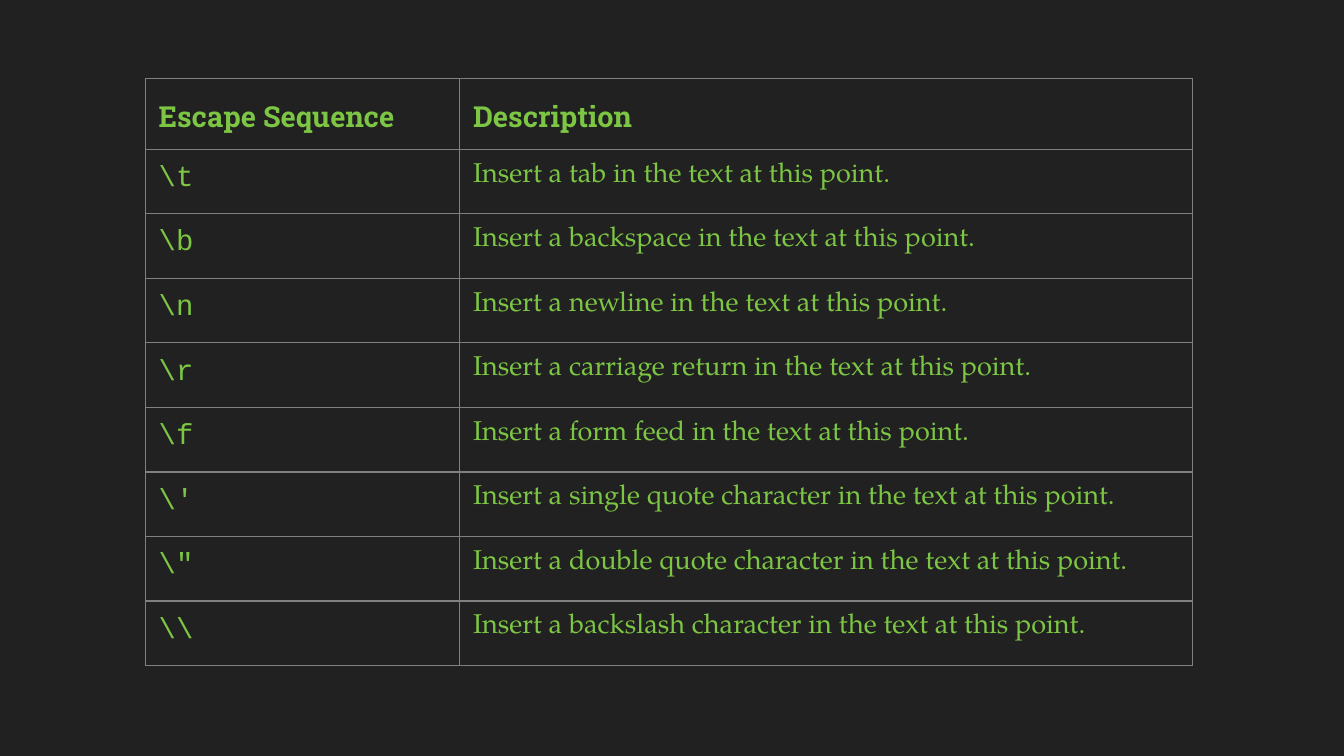
from dataclasses import dataclass

from lxml.etree import SubElement
from pptx import Presentation
from pptx.dml.color import RGBColor
from pptx.oxml.ns import qn
from pptx.table import _Cell as Cell
from pptx.util import Cm, Pt

BACKGROUND = RGBColor(0x21, 0x21, 0x21)
GREEN = RGBColor(0x7C, 0xC6, 0x44)
GREY = RGBColor(0x80, 0x80, 0x80)

COLUMN_WIDTHS = (Cm(5.94), Cm(13.85))
HEADER_HEIGHT = Cm(1.34)
ROW_HEIGHT = Cm(1.22)
CELL_MARGIN = Cm(0.25)
BORDER_WIDTH = Pt(0.75)


@dataclass(frozen=True)
class TextStyle:
    font: str
    size: float
    bold: bool = False
    line_spacing: float = 1.0


@dataclass(frozen=True)
class EscapeSequence:
    code: str
    description: str


HEADING = TextStyle("Roboto Slab", 15.5, bold=True, line_spacing=1.15)
CODE = TextStyle("Courier New", 15.5)
BODY = TextStyle("TeX Gyre Pagella", 14.5)

HEADER = EscapeSequence("Escape Sequence", "Description")
SEQUENCES = (
    EscapeSequence(r"\t", "Insert a tab in the text at this point."),
    EscapeSequence(r"\b", "Insert a backspace in the text at this point."),
    EscapeSequence(r"\n", "Insert a newline in the text at this point."),
    EscapeSequence(r"\r", "Insert a carriage return in the text at this point."),
    EscapeSequence(r"\f", "Insert a form feed in the text at this point."),
    EscapeSequence(r"\'", "Insert a single quote character in the text at this point."),
    EscapeSequence(r"\"", "Insert a double quote character in the text at this point."),
    EscapeSequence(r"\\", "Insert a backslash character in the text at this point."),
)


def write_text(cell: Cell, text: str, *, style: TextStyle, color: RGBColor = GREEN) -> None:
    paragraph = cell.text_frame.paragraphs[0]
    paragraph.line_spacing = style.line_spacing
    run = paragraph.add_run()
    run.text = text
    run.font.name = style.font
    run.font.size = Pt(style.size)
    run.font.bold = style.bold
    run.font.color.rgb = color


def draw_borders(cell: Cell, color: RGBColor = GREY) -> None:
    properties = cell._tc.get_or_add_tcPr()
    for side in ("a:lnL", "a:lnR", "a:lnT", "a:lnB"):
        line = SubElement(properties, qn(side), w=str(BORDER_WIDTH))
        fill = SubElement(line, qn("a:solidFill"))
        SubElement(fill, qn("a:srgbClr"), val=str(color))


def format_cell(cell: Cell) -> None:
    cell.margin_left = cell.margin_right = CELL_MARGIN
    cell.margin_top = cell.margin_bottom = CELL_MARGIN
    draw_borders(cell)
    cell.fill.background()


def add_sequence_table(slide) -> None:
    entries = (HEADER, *SEQUENCES)
    height = HEADER_HEIGHT + ROW_HEIGHT * len(SEQUENCES)
    table = slide.shapes.add_table(
        len(entries), len(COLUMN_WIDTHS), Cm(2.75), Cm(1.48), sum(COLUMN_WIDTHS), height
    ).table
    table.first_row = False
    table.horz_banding = False
    for column, width in zip(table.columns, COLUMN_WIDTHS):
        column.width = width

    for index, entry in enumerate(entries):
        is_header = entry is HEADER
        table.rows[index].height = HEADER_HEIGHT if is_header else ROW_HEIGHT
        styles = (HEADING, HEADING) if is_header else (CODE, BODY)
        texts = (entry.code, entry.description)
        for cell, text, style in zip(table.rows[index].cells, texts, styles):
            format_cell(cell)
            write_text(cell, text, style=style)


def main() -> None:
    presentation = Presentation()
    presentation.slide_width = Cm(25.4)
    presentation.slide_height = Cm(14.29)
    slide = presentation.slides.add_slide(presentation.slide_layouts[6])
    slide.background.fill.solid()
    slide.background.fill.fore_color.rgb = BACKGROUND
    add_sequence_table(slide)
    presentation.save("out.pptx")


if __name__ == "__main__":
    main()
